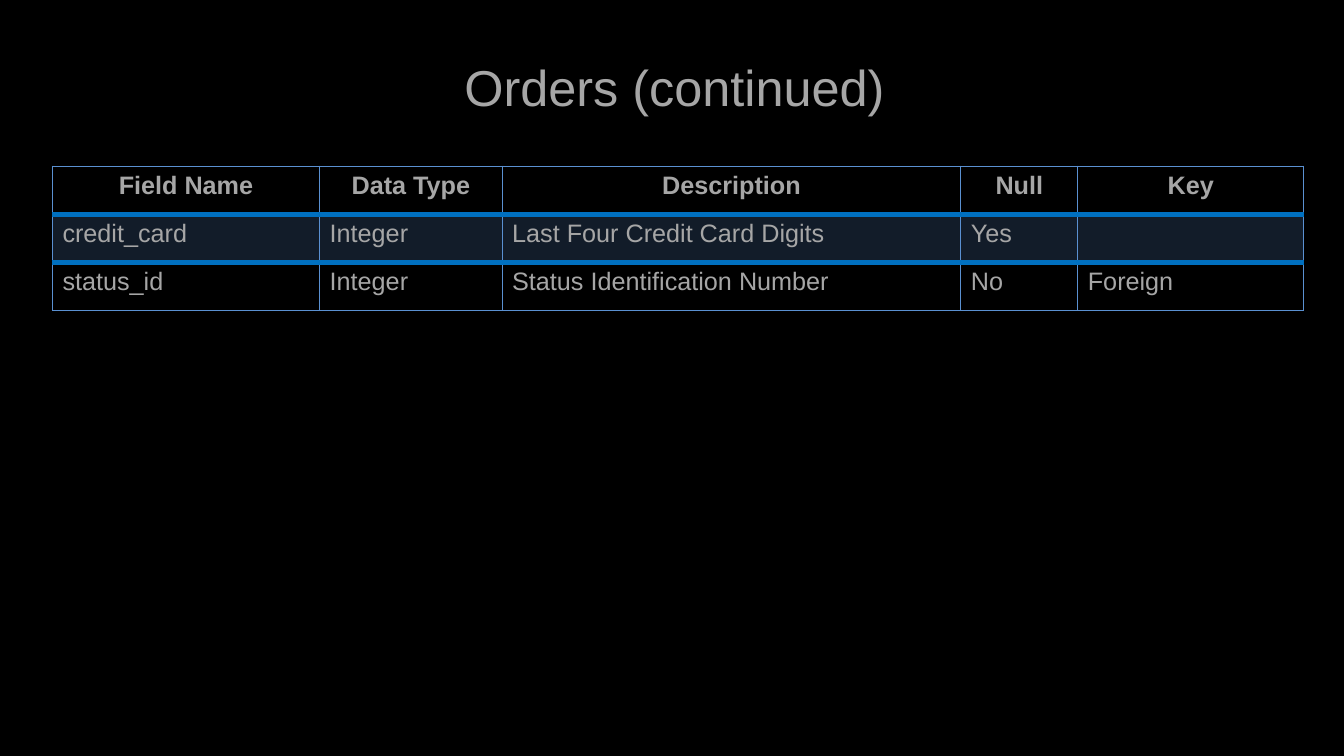
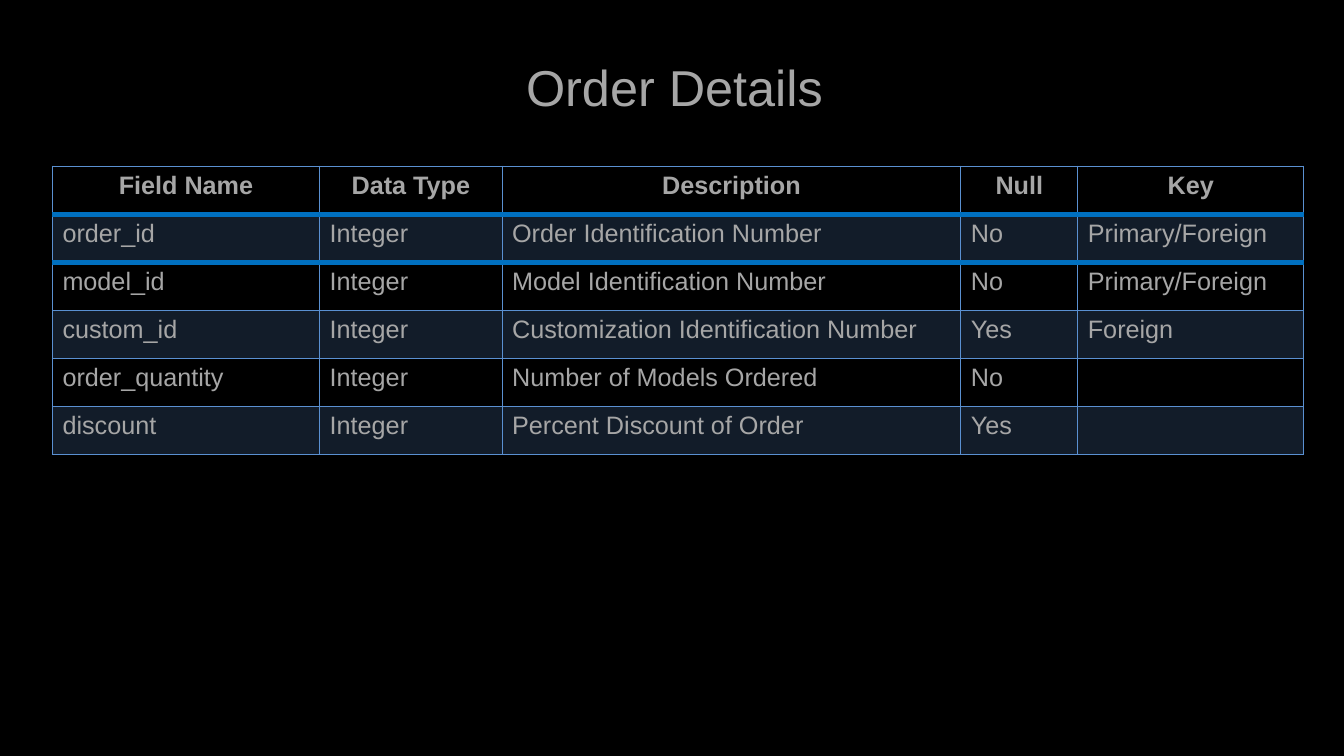
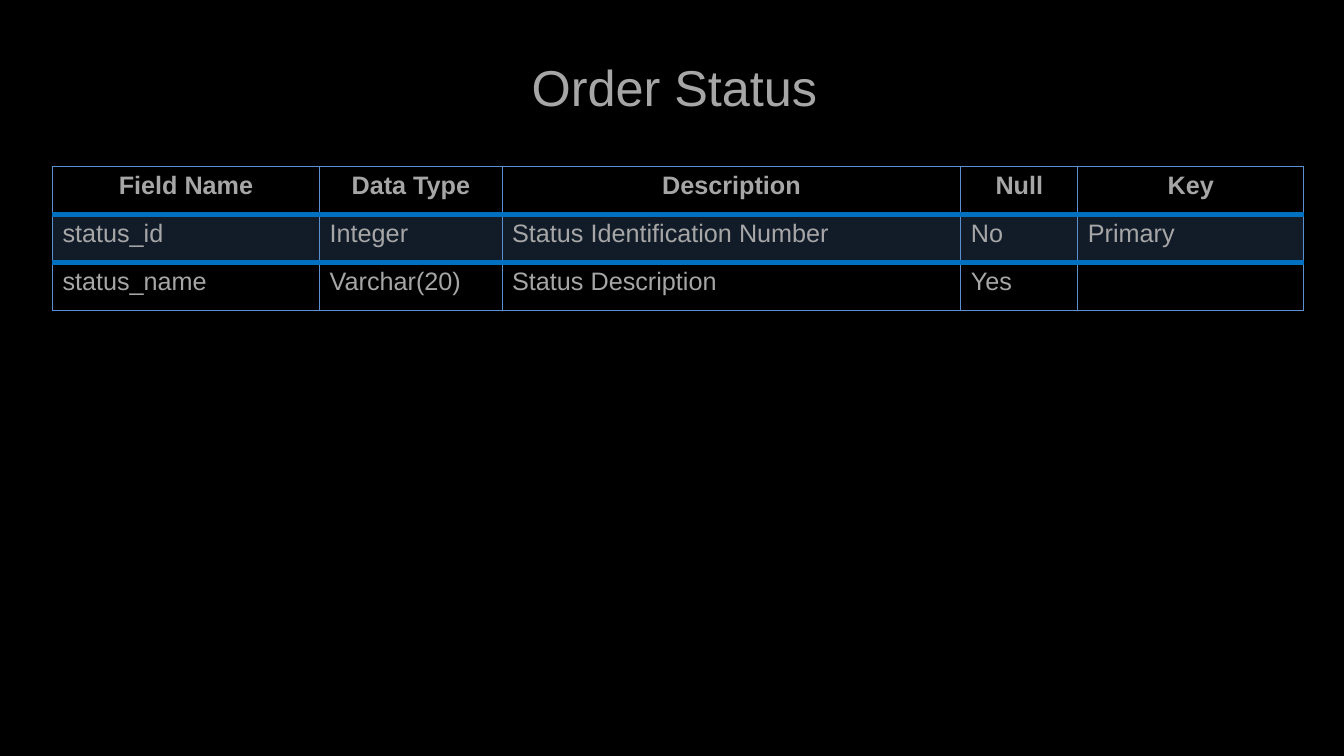
from dataclasses import dataclass

from lxml import etree
from pptx import Presentation
from pptx.dml.color import RGBColor
from pptx.enum import text
from pptx.oxml import ns
from pptx.util import Inches, Pt


@dataclass(frozen=True)
class Theme:
    background: str = "000000"
    ink: str = "A6A6A6"
    grid: str = "5A90D1"
    rule: str = "0070C0"
    band_opacity: int = 20
    font: str = "Arial"
    title_size: float = 36
    table_size: float = 18
    grid_width: float = 1
    rule_width: float = 4.5


THEME = Theme()
TITLE_BOX = (1.99, 0.51, 9.4, 0.71)
TABLE_ORIGIN = (0.52, 1.65)
COLUMN_WIDTHS = (2.65, 1.81, 4.55, 1.16, 2.24)
ROW_HEIGHT = Inches(1.43) // 3
HEADER = ("Field Name", "Data Type", "Description", "Null", "Key")

TABLES = {
    "Orders (continued)": [
        ("credit_card", "Integer", "Last Four Credit Card Digits", "Yes", ""),
        ("status_id", "Integer", "Status Identification Number", "No", "Foreign"),
    ],
    "Order Details": [
        ("order_id", "Integer", "Order Identification Number", "No", "Primary/Foreign"),
        ("model_id", "Integer", "Model Identification Number", "No", "Primary/Foreign"),
        ("custom_id", "Integer", "Customization Identification Number", "Yes", "Foreign"),
        ("order_quantity", "Integer", "Number of Models Ordered", "No", ""),
        ("discount", "Integer", "Percent Discount of Order", "Yes", ""),
    ],
    "Order Status": [
        ("status_id", "Integer", "Status Identification Number", "No", "Primary"),
        ("status_name", "Varchar(20)", "Status Description", "Yes", ""),
    ],
}


def write(paragraph, words, size, bold=False, centred=False):
    paragraph.alignment = text.PP_ALIGN.CENTER if centred else text.PP_ALIGN.LEFT
    run = paragraph.add_run()
    run.text = words
    formats = {"name": THEME.font, "size": Pt(size), "bold": bold}
    for name, value in formats.items():
        setattr(run.font, name, value)
    run.font.color.rgb = RGBColor.from_string(THEME.ink)


def set_border(cell, side, color, width):
    properties = cell._tc.get_or_add_tcPr()
    line = etree.SubElement(properties, ns.qn(f"a:ln{side}"), w=str(Pt(width)))
    fill = etree.SubElement(line, ns.qn("a:solidFill"))
    etree.SubElement(fill, ns.qn("a:srgbClr"), val=color)


def set_fill(cell, banded):
    if not banded:
        cell.fill.background()
        return
    cell.fill.solid()
    cell.fill.fore_color.rgb = RGBColor.from_string(THEME.grid)
    color = cell._tc.tcPr.find(".//" + ns.qn("a:solidFill") + "[last()]")
    color = cell._tc.tcPr.find(ns.qn("a:solidFill")).find(ns.qn("a:srgbClr"))
    etree.SubElement(color, ns.qn("a:alpha"), val=str(THEME.band_opacity * 1000))


def add_title(slide, words, box):
    shape = slide.shapes.add_textbox(*map(Inches, box))
    frame = shape.text_frame
    frame.word_wrap = True
    frame.auto_size = text.MSO_AUTO_SIZE.SHAPE_TO_FIT_TEXT
    write(frame.paragraphs[0], words, THEME.title_size, centred=True)


def add_field_table(slide, records, origin):
    rows = [HEADER, *records]
    left, top = map(Inches, origin)
    table = slide.shapes.add_table(
        len(rows), len(HEADER), left, top,
        Inches(sum(COLUMN_WIDTHS)), ROW_HEIGHT * len(rows)).table
    table.first_row = table.horz_banding = False
    for column, width in zip(table.columns, COLUMN_WIDTHS):
        column.width = Inches(width)

    # Heavy rules lie above and below the first record
    grid = (THEME.grid, THEME.grid_width)
    rule = (THEME.rule, THEME.rule_width)
    for row, values in enumerate(rows):
        is_header = row == 0
        borders = {"L": grid, "R": grid,
                   "T": rule if row in (1, 2) else grid,
                   "B": rule if row in (0, 1) else grid}
        for column, value in enumerate(values):
            cell = table.cell(row, column)
            for side, style in borders.items():
                set_border(cell, side, *style)
            set_fill(cell, banded=row % 2 == 1)
            write(cell.text_frame.paragraphs[0], value, THEME.table_size,
                  bold=is_header, centred=is_header)


def add_table_slide(presentation, title, records):
    slide = presentation.slides.add_slide(presentation.slide_layouts[6])
    background = slide.background.fill
    background.solid()
    background.fore_color.rgb = RGBColor.from_string(THEME.background)
    add_field_table(slide, records, TABLE_ORIGIN)
    add_title(slide, title, TITLE_BOX)


def main():
    presentation = Presentation()
    presentation.slide_width = Inches(13.33)
    presentation.slide_height = Inches(7.5)
    for title, records in TABLES.items():
        add_table_slide(presentation, title, records)
    presentation.save("out.pptx")


if __name__ == "__main__":
    main()
